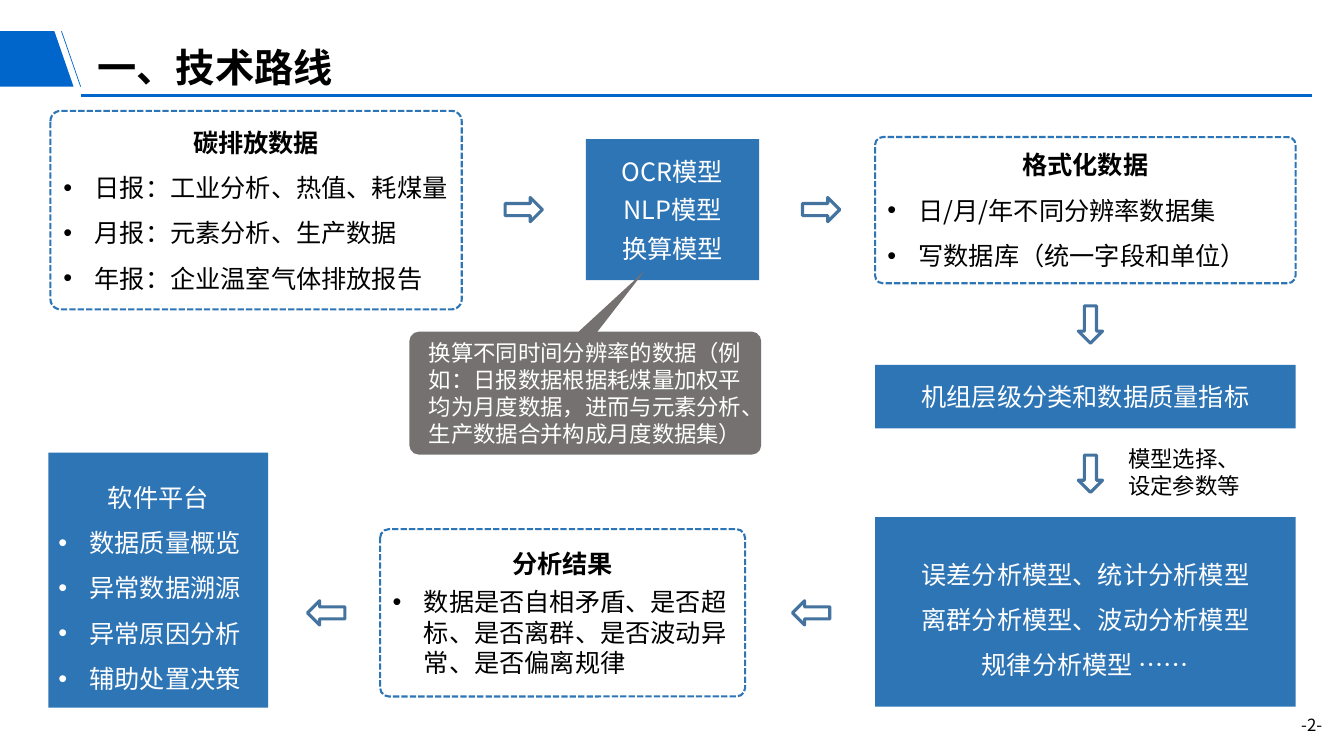
from dataclasses import dataclass
from lxml.etree import SubElement
from pptx import Presentation
from pptx.dml.color import RGBColor
from pptx.enum.dml import MSO_LINE
from pptx.enum.shapes import MSO_CONNECTOR, MSO_SHAPE
from pptx.enum.text import MSO_ANCHOR, PP_ALIGN
from pptx.oxml.ns import qn
from pptx.util import Inches, Pt


@dataclass(frozen=True)
class Theme:
    font: str = "Noto Sans CJK SC"
    brand: RGBColor = RGBColor(0x00, 0x66, 0xCC)
    blue: RGBColor = RGBColor(0x2E, 0x75, 0xB6)
    steel: RGBColor = RGBColor(0x43, 0x73, 0x9E)
    gray: RGBColor = RGBColor(0x76, 0x71, 0x71)
    black: RGBColor = RGBColor(0, 0, 0)
    white: RGBColor = RGBColor(255, 255, 255)
    title: int = 28
    body: int = 18
    note: int = 16
    page: int = 12


theme = Theme()
deck = Presentation()
deck.slide_width, deck.slide_height = Inches(13.33), Inches(7.5)
slide = deck.slides.add_slide(deck.slide_layouts[6])
shapes = slide.shapes


def write(frame, rows, ink, size=theme.body, lead=1.0, after=0, bold=False,
          align=PP_ALIGN.CENTER, anchor=MSO_ANCHOR.MIDDLE):
    frame.word_wrap = True
    frame.vertical_anchor = anchor
    for i, row in enumerate(rows):
        para = frame.add_paragraph() if i else frame.paragraphs[0]
        head = bold and i == 0
        para.alignment = align
        if row.startswith("•"):
            para.alignment = PP_ALIGN.LEFT
            props = para._p.get_or_add_pPr()
            props.set("marL", str(Inches(0.31)))
            props.set("indent", str(Inches(-0.31)))
            SubElement(props, qn("a:buFont"), typeface="Arial")
            SubElement(props, qn("a:buChar"), char="•")
        para.line_spacing = 1.0 if head else lead
        para.space_after = Pt(after)
        run = para.add_run()
        run.text = row.removeprefix("•")
        run.font.name = theme.font
        run.font.size = Pt(size)
        run.font.bold = head
        run.font.color.rgb = ink
        SubElement(run._r.get_or_add_rPr(), qn("a:ea"), typeface=theme.font)


def draw(kind, place, fill=None, line=None, width=1.5, turn=0):
    shape = shapes.add_shape(kind, *map(Inches, place))
    shape.shadow.inherit = False
    shape.rotation = turn
    if fill is None:
        shape.fill.background()
    else:
        shape.fill.solid()
        shape.fill.fore_color.rgb = fill
    if line is None:
        shape.line.fill.background()
    else:
        shape.line.color.rgb = line
        shape.line.width = Pt(width)
    return shape


pen = shapes.build_freeform(Inches(0), Inches(0.31))
pen.add_line_segments([(Inches(x), Inches(y)) for x, y in
                       [(0.54, 0.31), (0.73, 0.86), (0, 0.86)]], close=True)
flag = pen.convert_to_shape()
flag.shadow.inherit = False
flag.fill.solid()
flag.fill.fore_color.rgb = theme.brand
flag.line.fill.background()

for ends, width in [((0.61, 0.31, 0.8, 0.86), 0.5),
                    ((0.8, 0.95, 13.01, 0.95), 2.25)]:
    rule = shapes.add_connector(MSO_CONNECTOR.STRAIGHT, *map(Inches, ends))
    rule.line.color.rgb = theme.brand
    rule.line.width = Pt(width)
    SubElement(rule._element.spPr, qn("a:effectLst"))

labels = [
    ((12.63, 7.04, 0.76, 0.3), "-2-", theme.page, PP_ALIGN.CENTER,
     MSO_ANCHOR.TOP, False),
    ((0.87, 0.11, 9.44, 0.84), "一、技术路线", theme.title, PP_ALIGN.LEFT,
     MSO_ANCHOR.BOTTOM, True),
    ((11.09, 4.37, 1.35, 0.64), "模型选择、设定参数等", theme.note, PP_ALIGN.LEFT,
     MSO_ANCHOR.TOP, False),
]
for place, text, size, align, anchor, bold in labels:
    label = shapes.add_textbox(*map(Inches, place))
    write(label.text_frame, [text], theme.black, size, bold=bold,
          align=align, anchor=anchor)
    if bold:
        label.text_frame.paragraphs[0].line_spacing = 0.9

frames = [
    ((0.5, 1.1, 4.08, 1.97), 1.5, 0,
     ["碳排放数据", "•日报：工业分析、热值、耗煤量", "•月报：元素分析、生产数据",
      "•年报：企业温室气体排放报告"]),
    ((8.68, 1.36, 4.17, 1.45), 1.5, 0,
     ["格式化数据", "•日/月/年不同分辨率数据集", "•写数据库（统一字段和单位）"]),
    ((3.77, 5.25, 3.62, 1.66), 1.0, 6,
     ["分析结果", "•数据是否自相矛盾、是否超标、是否离群、是否波动异常、是否偏离规律"]),
]
for place, lead, after, rows in frames:
    frame = draw(MSO_SHAPE.ROUNDED_RECTANGLE, place, line=theme.blue)
    frame.adjustments[0] = 0.052
    frame.line.dash_style = MSO_LINE.SQUARE_DOT
    write(frame.text_frame, rows, theme.black, lead=lead, after=after, bold=True)

blocks = [
    ((5.81, 1.38, 1.72, 1.4), 1.0, 6, ["OCR模型", "NLP模型", "换算模型"]),
    ((8.68, 3.62, 4.17, 0.63), 1.0, 0, ["机组层级分类和数据质量指标"]),
    ((8.68, 5.13, 4.17, 1.88), 1.5, 0,
     ["误差分析模型、统计分析模型", "离群分析模型、波动分析模型", "规律分析模型 ……"]),
    ((0.48, 4.49, 2.18, 2.53), 1.5, 0,
     ["软件平台", "•数据质量概览", "•异常数据溯源", "•异常原因分析",
      "•辅助处置决策"]),
]
for place, lead, after, rows in blocks:
    block = draw(MSO_SHAPE.RECTANGLE, place, fill=theme.blue)
    write(block.text_frame, rows, theme.white, lead=lead, after=after)

for left, top, turn in [(5.01, 1.96, 0), (7.96, 1.96, 0), (10.63, 3.1, 90),
                        (10.63, 4.58, 90), (7.86, 5.96, 180), (3.05, 5.96, 180)]:
    draw(MSO_SHAPE.RIGHT_ARROW, (left, top, 0.37, 0.24),
         line=theme.steel, width=2.25, turn=turn)

note = draw(MSO_SHAPE.ROUNDED_RECTANGLE, (4.06, 3.29, 3.49, 1.22), fill=theme.gray)
note.adjustments[0] = 0.078
write(note.text_frame,
      ["换算不同时间分辨率的数据（例如：日报数据根据耗煤量加权平均为月度数据，"
       "进而与元素分析、生产数据合并构成月度数据集）"], theme.white, theme.note)
draw(MSO_SHAPE.ISOSCELES_TRIANGLE, (5.99, 2.56, 0.16, 0.96),
     fill=theme.gray, turn=42.6)

deck.save("out.pptx")
